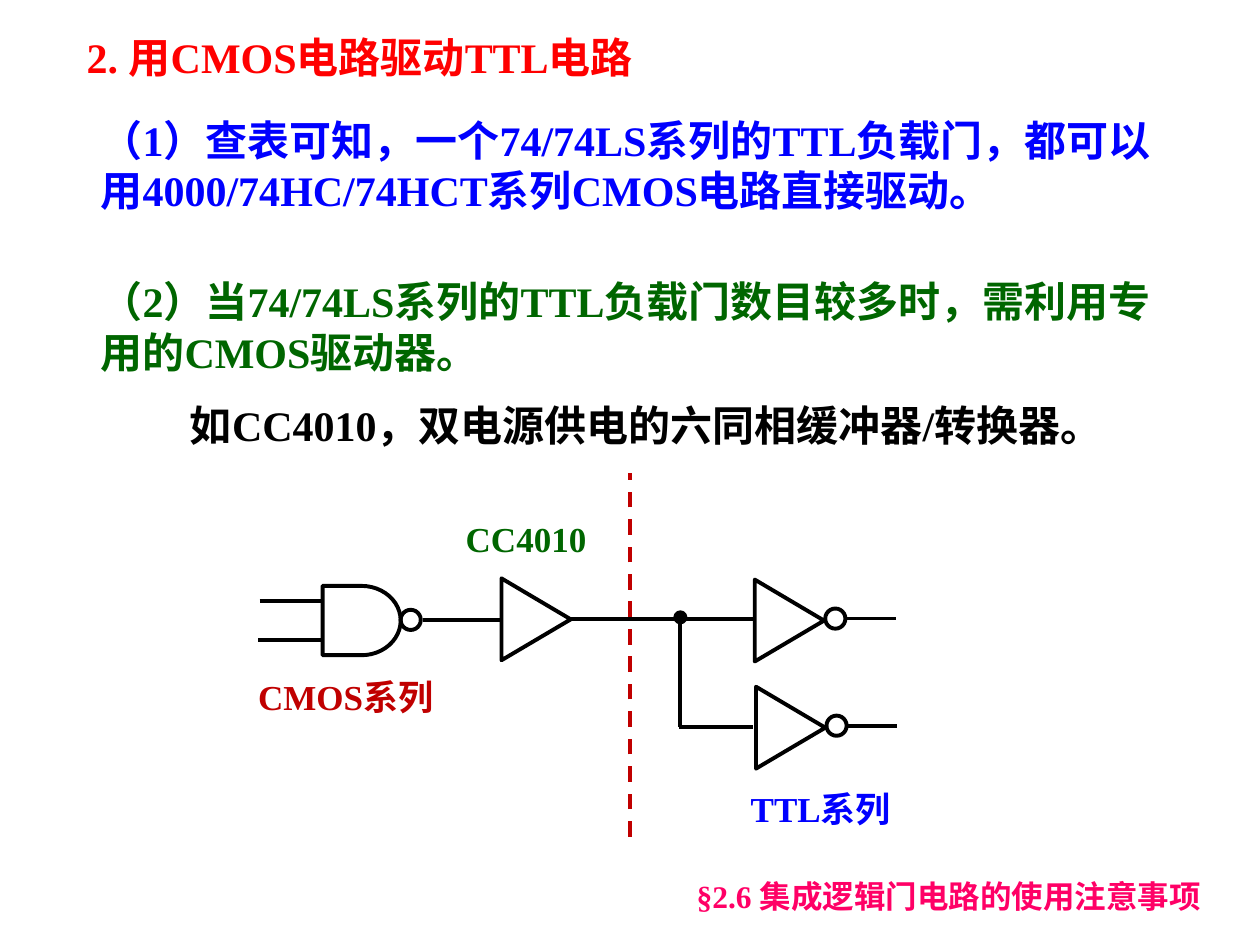
import lxml.etree
import pptx
import pptx.dml.color
import pptx.enum.dml
import pptx.enum.shapes
import pptx.enum.text
import pptx.oxml.ns
import pptx.util

THEME = {
    "font": "Times New Roman",
    "body": 24, "label": 20, "footer": 18,
    "thin": 2, "stroke": 2.25,
    "red": "FF0000", "blue": "0000FF", "green": "006600",
    "black": "000000", "crimson": "C00000", "pink": "FF0066",
}

presentation = pptx.Presentation()
presentation.slide_width = pptx.util.Inches(10)
presentation.slide_height = pptx.util.Inches(7.5)
slide = presentation.slides.add_slide(presentation.slide_layouts[6])

# Grid of 100 columns by 75 rows
COLUMN = presentation.slide_width / 100
ROW = presentation.slide_height / 75


def add_text(text, left, top, width, height, color, size="body", align="LEFT"):
    """Place bold text; lengths are grid columns and rows."""
    box = slide.shapes.add_textbox(int(left * COLUMN), int(top * ROW),
                                   int(width * COLUMN), int(height * ROW))
    frame = box.text_frame
    frame.word_wrap = True
    frame.auto_size = pptx.enum.text.MSO_AUTO_SIZE.SHAPE_TO_FIT_TEXT
    paragraph = frame.paragraphs[0]
    paragraph.alignment = getattr(pptx.enum.text.PP_ALIGN, align)
    run = paragraph.add_run()
    run.text = text
    run.font.name = THEME["font"]
    run.font.size = pptx.util.Pt(THEME[size])
    run.font.bold = True
    run.font.color.rgb = pptx.dml.color.RGBColor.from_string(THEME[color])


# Heading and explanation
add_text("2. 用CMOS电路驱动TTL电路", 5.9, 2, 54.3, 5.1, "red")
add_text("（1）查表可知，一个74/74LS系列的TTL负载门，都可以用4000/74HC/74HCT系列CMOS电路直接驱动。",
         7, 8.6, 86.7, 9.1, "blue")
add_text("（2）当74/74LS系列的TTL负载门数目较多时，需利用专用的CMOS驱动器。",
         7, 21.4, 86.7, 9.1, "green")
add_text("如CC4010，双电源供电的六同相缓冲器/转换器。", 14.1, 31.2, 76.6, 5.1, "black")

# Driver side: NAND gate and buffer
wires = [
    # start column, start row, end column, end row, weight
    (20.5, 50.8, 25.6, 50.8, "stroke"),
    (20.6, 47.7, 25.7, 47.7, "stroke"),
    (33.6, 49.2, 39.7, 49.2, "stroke"),
    (45.3, 49.1, 59.9, 49.1, "stroke"),
    (54, 49.1, 54, 57.7, "stroke"),
    (53.9, 57.7, 59.8, 57.7, "stroke"),
]
symbols = [
    # preset, left, top, width, height, rotation
    ("FLOWCHART_DELAY", 25.6, 46.5, 6.2, 5.5, 0),
    ("OVAL", 31.8, 48.4, 1.6, 1.6, 0),
    ("FLOWCHART_MERGE", 39.3, 46.4, 6.5, 5.5, 270),
]

# Load side: two identical inverters
for shift, drop in ((0, 0), (0.1, 8.5)):
    symbols.append(("FLOWCHART_MERGE", 59.4 + shift, 46.5 + drop, 6.5, 5.5, 270))
    symbols.append(("OVAL", 65.5 + shift, 48.3 + drop, 1.6, 1.6, 0))
    wires.append((67.1 + shift, 49.1 + drop, 71.1 + shift, 49.1 + drop, "thin"))

# Wires, then the dashed boundary between the two families
boundary = (50, 66.4, 50, 37.5, "stroke")
for wire in wires + [boundary]:
    x1, y1, x2, y2, weight = wire
    connector = slide.shapes.add_connector(
        pptx.enum.shapes.MSO_CONNECTOR.STRAIGHT,
        int(x1 * COLUMN), int(y1 * ROW), int(x2 * COLUMN), int(y2 * ROW))
    connector.line.width = pptx.util.Pt(THEME[weight])
    color = "crimson" if wire is boundary else "black"
    connector.line.color.rgb = pptx.dml.color.RGBColor.from_string(THEME[color])
    if wire is boundary:
        connector.line.dash_style = pptx.enum.dml.MSO_LINE.DASH
    lxml.etree.SubElement(connector._element.spPr, pptx.oxml.ns.qn("a:effectLst"))

# Gate symbols and the solid junction dot
junction = ("OVAL", 53.6, 48.6, 0.8, 0.8, 0)
for symbol in symbols + [junction]:
    preset, left, top, width, height, rotation = symbol
    shape = slide.shapes.add_shape(
        getattr(pptx.enum.shapes.MSO_SHAPE, preset),
        int(left * COLUMN), int(top * ROW), int(width * COLUMN), int(height * ROW))
    shape.rotation = rotation
    shape.shadow.inherit = False
    black = pptx.dml.color.RGBColor.from_string(THEME["black"])
    shape.line.color.rgb = black
    shape.line.width = pptx.util.Pt(THEME["stroke"])
    if symbol is junction:
        shape.fill.solid()
        shape.fill.fore_color.rgb = black
    else:
        shape.fill.background()

# Circuit labels and section footer
add_text("CMOS系列", 19.5, 53.1, 16.1, 4.4, "crimson", size="label")
add_text("TTL系列", 58.6, 62, 13.3, 4.4, "blue", size="label")
add_text("CC4010", 35.9, 40.6, 11.7, 4.4, "green", size="label", align="CENTER")
add_text("§2.6 集成逻辑门电路的使用注意事项", 54.3, 69.1, 44.9, 4, "pink", size="footer")

presentation.save("out.pptx")
